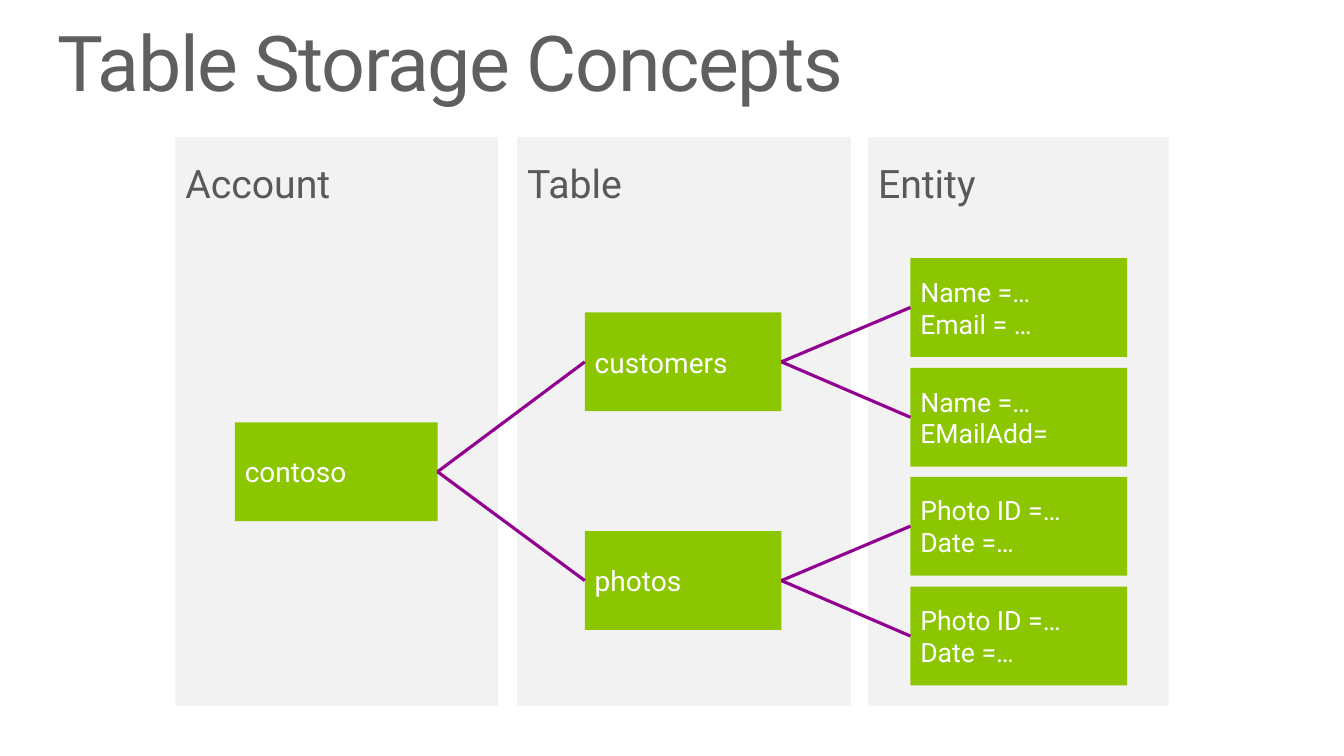
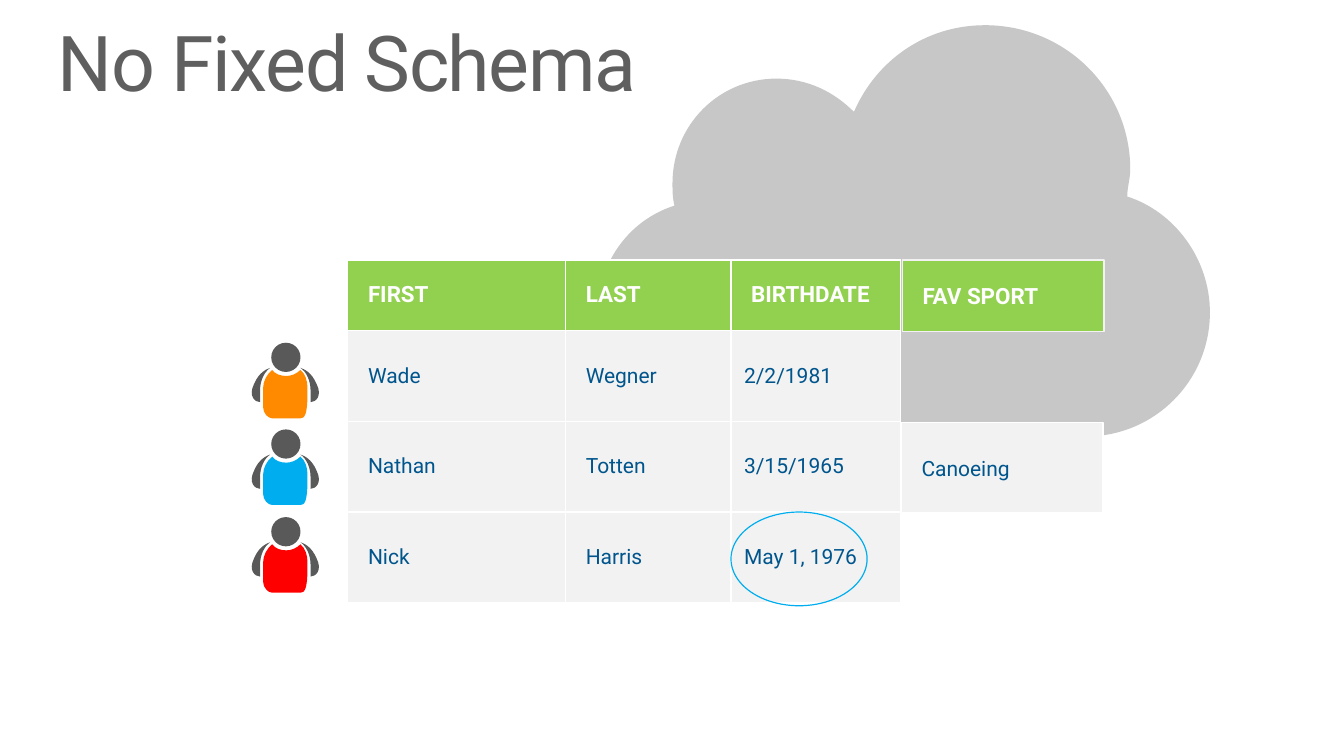
from lxml.etree import Element, SubElement
from pptx import Presentation
from pptx.dml.color import RGBColor
from pptx.enum.shapes import MSO_CONNECTOR as Link, MSO_SHAPE as Preset
from pptx.enum.text import MSO_ANCHOR as Anchor, MSO_AUTO_SIZE as AutoSize, PP_ALIGN as Align
from pptx.oxml import parse_xml
from pptx.oxml.ns import nsdecls, qn
from pptx.util import Pt

PX = 9144
FONT = "Roboto"
WHITE = RGBColor(0xFF, 0xFF, 0xFF)
TITLE_GREY = RGBColor(0x5F, 0x5F, 0x5F)
DARK_GREY = RGBColor(0x59, 0x59, 0x59)
CLOUD_GREY = RGBColor(0xC7, 0xC7, 0xC7)
PALE_GREY = RGBColor(0xF2, 0xF2, 0xF2)
LIME = RGBColor(0x8C, 0xC6, 0x00)
HEADER_GREEN = RGBColor(0x92, 0xD0, 0x50)
PURPLE = RGBColor(0x91, 0x00, 0x91)
NAVY = RGBColor(0x00, 0x55, 0x8D)
SKY = RGBColor(0x00, 0xAE, 0xEF)
ORANGE = RGBColor(0xFF, 0x8A, 0x00)
RED = RGBColor(0xFF, 0x00, 0x00)

BOX_INSETS = (10, 5, 10, 5)
CELL_INSETS = (20, 10, 20, 10)
DATE_INSETS = (13, 5, 13, 5)
LABEL_INSETS = (20, 5, 10, 5)
PANEL_INSETS = (10, 27, 27, 27)

CLOUD = [(1118, 195), (1118, 186, 1121, 177, 1121, 168), (1121, 89, 1057, 25, 977, 25),
         (918, 25, 869, 60, 847, 111), (827, 91, 801, 78, 770, 78),
         (713, 78, 667, 124, 667, 182), (667, 188, 667, 197, 669, 204),
         (622, 219, 592, 263, 592, 314), (592, 380, 644, 433, 711, 433), (1077, 433),
         (1145, 433, 1200, 378, 1200, 310), (1200, 257, 1165, 210, 1118, 195)]
ARM = [(22, 25), (19, 26, 11, 29, 6, 41), (0, 53, 7, 59, 12, 59), (12, 47),
       (12, 38, 16, 29, 22, 25)]
BODY = [(59, 45), (59, 38, 57, 31, 52, 27), (48, 31, 43, 33, 38, 33),
        (32, 33, 27, 31, 24, 27), (19, 31, 15, 38, 15, 45), (15, 64),
        (15, 70, 20, 75, 24, 75), (52, 75), (56, 75, 59, 72, 59, 50)]
PERSON_WIDTH = 74


def px(*lengths):
    return [round(length * PX) for length in lengths]


def bend(shape, steps):
    lines = iter(shape.element.findall(".//" + qn("a:lnTo")))
    for step in steps:
        first = next(lines)
        if len(step) == 6:
            curve = Element(qn("a:cubicBezTo"))
            first.addprevious(curve)
            for line in (first, next(lines), next(lines)):
                curve.append(line[0])
                line.getparent().remove(line)


class Deck:
    def __init__(self):
        self.file = Presentation()
        self.file.slide_width, self.file.slide_height = px(1333, 750)
        self.page = None

    def start_page(self, text):
        self.page = self.file.slides.add_slide(self.file.slide_layouts[5])
        title = self.page.shapes.title
        title.left, title.top, title.width, title.height = px(57, 25, 1219, 83)
        frame = title.text_frame
        frame.text = text
        frame.auto_size = AutoSize.NONE
        self.format_text(frame, 55, TITLE_GREY, (0, 0, 0, 0), Anchor.TOP, spacing=0.9)
        frame.paragraphs[0].runs[0]._r.get_or_add_rPr().set("spc", "-100")

    def format_text(self, frame, size, color, insets, anchor=Anchor.MIDDLE, bold=False,
                    spacing=None):
        frame.word_wrap = True
        frame.vertical_anchor = anchor
        (frame.margin_left, frame.margin_top,
         frame.margin_right, frame.margin_bottom) = px(*insets)
        self.format_paragraphs(frame, size, color, bold, spacing)

    def format_paragraphs(self, frame, size, color, bold, spacing=None):
        for para in frame.paragraphs:
            para.alignment = Align.LEFT
            para.line_spacing = spacing
            for span in para.runs:
                span.font.name = FONT
                span.font.size = Pt(size)
                span.font.bold = bold
                span.font.color.rgb = color

    def paint(self, shape, fill=None, line=None, weight=1):
        shape.shadow.inherit = False
        if fill is None:
            shape.fill.background()
        else:
            shape.fill.solid()
            shape.fill.fore_color.rgb = fill
        if line is None:
            shape.line.fill.background()
        else:
            shape.line.color.rgb = line
            shape.line.width = Pt(weight)
        return shape

    def box(self, place, fill, text, size, color=WHITE, insets=BOX_INSETS, line=None, **style):
        box = self.page.shapes.add_shape(Preset.RECTANGLE, *px(*place))
        self.paint(box, fill, line)
        box.text_frame.text = text
        self.format_text(box.text_frame, size, color, insets, **style)
        return box

    def oval(self, place, shapes=None, **look):
        shapes = shapes or self.page.shapes
        return self.paint(shapes.add_shape(Preset.OVAL, *px(*place)), **look)

    def outline(self, steps, fill, shapes=None, left=0, top=0, mirror=None):
        points = [px(left + (x if mirror is None else mirror - x), top + y)
                  for step in steps for x, y in zip(step[::2], step[1::2])]
        builder = (shapes or self.page.shapes).build_freeform(*points[0], scale=1.0)
        builder.add_line_segments(points[1:], close=True)
        shape = builder.convert_to_shape()
        bend(shape, steps[1:])
        return self.paint(shape, fill)

    def person(self, left, top, color):
        shapes = self.page.shapes.add_group_shape().shapes
        for mirror in (None, PERSON_WIDTH):
            self.outline(ARM, DARK_GREY, shapes, left, top, mirror)
        self.outline(BODY, color, shapes, left, top)
        self.oval((left + 23, top, 29, 29), shapes, fill=DARK_GREY)

    def connect(self, source, target):
        line = self.page.shapes.add_connector(Link.STRAIGHT, 0, 0, 0, 0)
        line.begin_connect(source, 3)
        line.end_connect(target, 1)
        line.line.color.rgb = PURPLE
        line.line.width = Pt(2.25)
        SubElement(line.element.spPr, qn("a:effectLst"))

    def table(self, place, widths, heights, rows):
        table = self.page.shapes.add_table(len(rows), len(widths), *px(*place)).table
        table.first_row = table.horz_banding = False
        for column, width in zip(table.columns, px(*widths)):
            column.width = width
        for row, height in zip(table.rows, px(*heights)):
            row.height = height
        for row_index, values in enumerate(rows):
            for column_index, value in enumerate(values):
                cell = table.cell(row_index, column_index)
                if value:
                    is_date = row_index > 0 and column_index == 3
                    self.fill_cell(cell, value, row_index == 0,
                                   DATE_INSETS if is_date else CELL_INSETS)
                else:
                    cell.fill.background()

    def fill_cell(self, cell, value, is_header, insets):
        cell.text = value
        cell.vertical_anchor = Anchor.MIDDLE
        (cell.margin_left, cell.margin_top,
         cell.margin_right, cell.margin_bottom) = px(*insets)
        size, color = (16, WHITE) if is_header else (15, NAVY)
        self.format_paragraphs(cell.text_frame, size, color, is_header)
        cell.fill.solid()
        cell.fill.fore_color.rgb = HEADER_GREEN if is_header else PALE_GREY
        properties = cell._tc.get_or_add_tcPr()
        for position, side in enumerate("LRTB"):
            properties.insert(position, parse_xml(
                f'<a:ln{side} {nsdecls("a")} w="{Pt(1)}"><a:solidFill>'
                f'<a:srgbClr val="{WHITE}"/></a:solidFill></a:ln{side}>'))


def concepts_page(deck):
    deck.start_page("Table Storage Concepts")
    for left, width, heading in ((174, 320, "Account"), (513, 331, "Table"),
                                 (861, 298, "Entity")):
        deck.box((left, 136, width, 564), PALE_GREY, heading, 28, DARK_GREY, PANEL_INSETS,
                 anchor=Anchor.TOP, spacing=0.9)
    account = deck.box((233, 419, 201, 98), LIME, "contoso", 20)
    tables = (("customers", ("Name =…\nEmail = …", "Name =…\nEMailAdd=")),
              ("photos", ("Photo ID =…\nDate =…",) * 2))
    for table_index, (name, entities) in enumerate(tables):
        table = deck.box((580, 310 + 217 * table_index, 195, 98), LIME, name, 20)
        deck.connect(account, table)
        for entity_index, text in enumerate(entities):
            top = 256 + 217 * table_index + 109 * entity_index
            deck.connect(table, deck.box((903, top, 215, 98), LIME, text, 19))


def schema_page(deck):
    deck.start_page("No Fixed Schema")
    cloud = deck.outline(CLOUD, CLOUD_GREY)
    deck.page.shapes.title.element.addprevious(cloud.element)
    deck.table((129, 258, 766, 341), (216, 216, 164, 168), (70, 90, 90, 90),
               (("", "FIRST", "LAST", "BIRTHDATE"),
                ("", "Wade", "Wegner", "2/2/1981"),
                ("", "Nathan", "Totten", "3/15/1965"),
                ("", "Nick", "Harris", "May 1, 1976")))
    deck.oval((725, 508, 135, 93), line=SKY, weight=0.85)
    deck.box((895, 258, 200, 71), HEADER_GREEN, "FAV SPORT", 16, insets=LABEL_INSETS,
             line=PALE_GREY, bold=True)
    deck.box((894, 419, 200, 90), PALE_GREY, "Canoeing", 15, NAVY, LABEL_INSETS, line=WHITE)
    for top, color in ((340, ORANGE), (426, SKY), (513, RED)):
        deck.person(246, top, color)


def main():
    deck = Deck()
    concepts_page(deck)
    schema_page(deck)
    deck.file.save("out.pptx")


if __name__ == "__main__":
    main()
